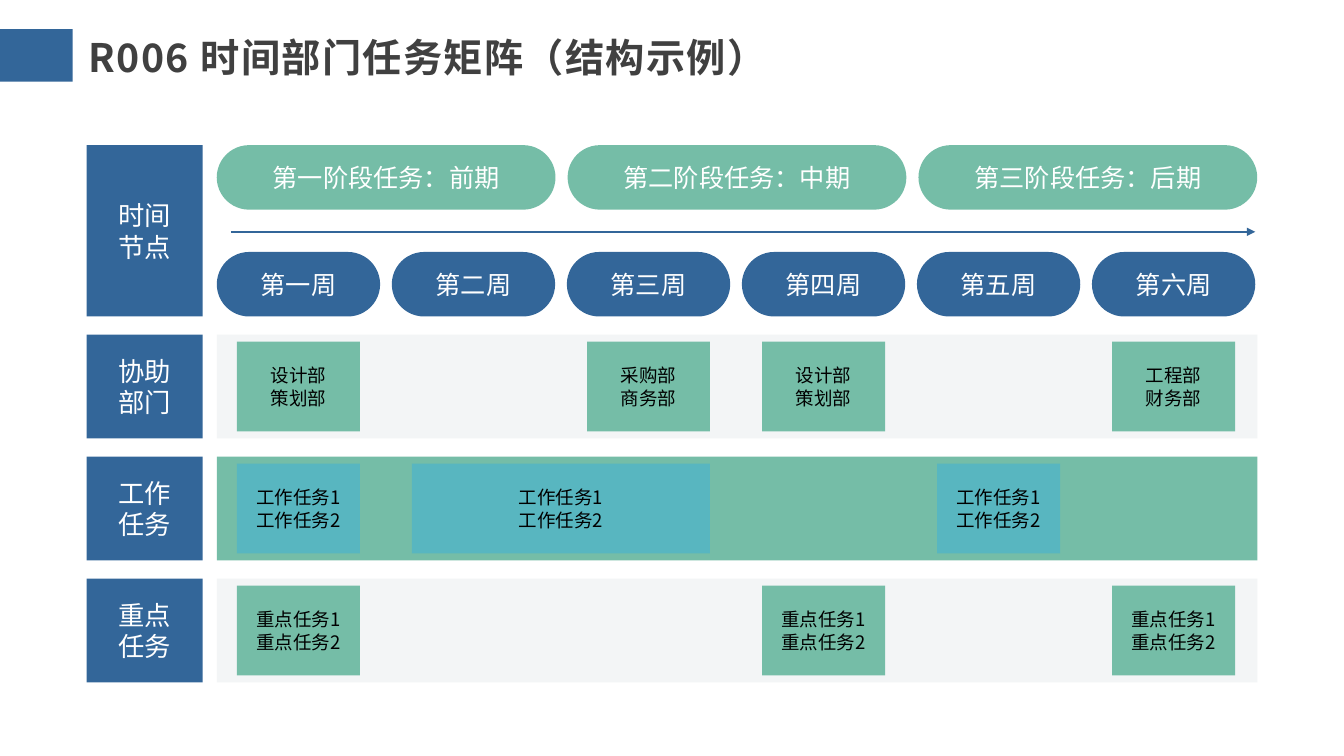
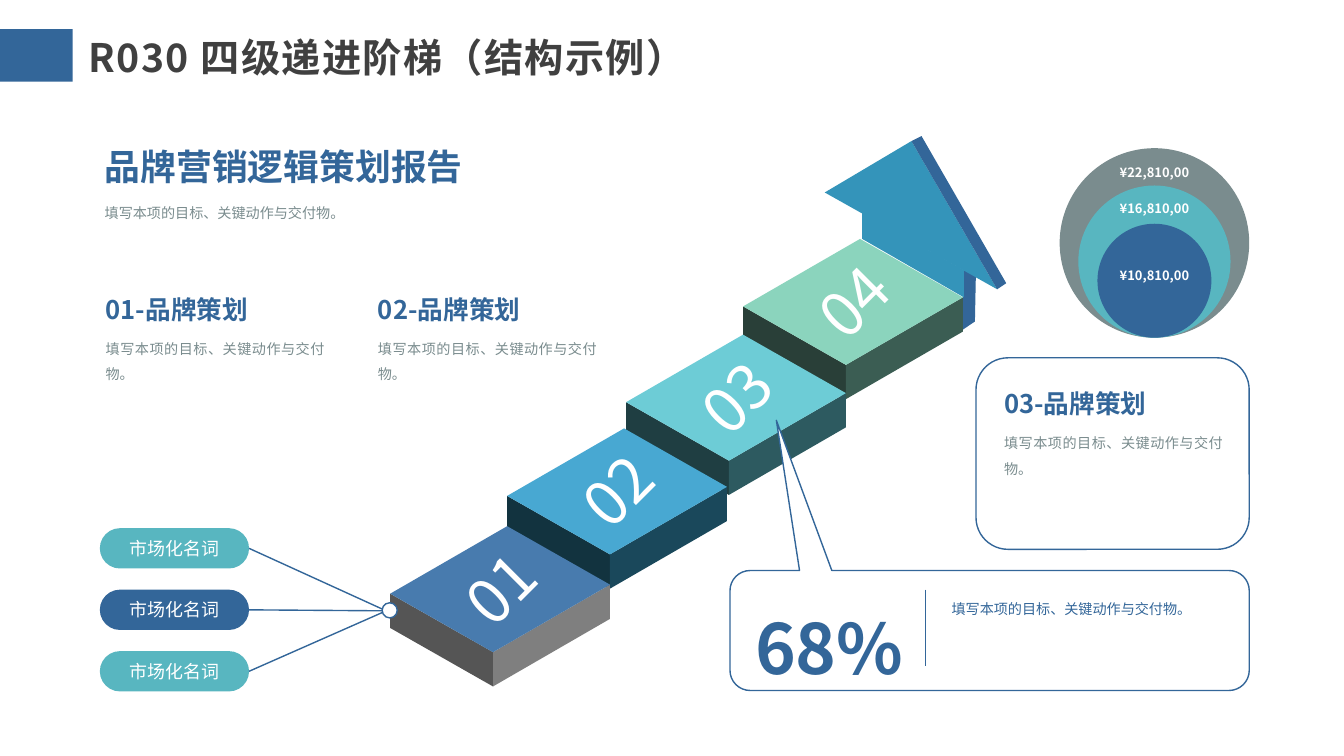
from math import cos, radians, sin

from lxml import etree
from pptx import Presentation
from pptx.dml.color import RGBColor
from pptx.enum import shapes as sh, text as tx
from pptx.oxml.ns import qn
from pptx.util import Inches, Pt

FONT = "Noto Sans CJK SC"
BLUE, GREEN, TEAL, SKY = "336699", "75BDA7", "58B6C0", "3494BA"
GRAY, PALE, DARK, WHITE, BLACK = "7A8C8E", "F3F5F6", "404040", "FFFFFF", "000000"
RECT, ROUND, OVAL = (sh.MSO_SHAPE.RECTANGLE, sh.MSO_SHAPE.ROUNDED_RECTANGLE,
                     sh.MSO_SHAPE.OVAL)
LEFT, MID, JUST = tx.PP_ALIGN.LEFT, tx.PP_ALIGN.CENTER, tx.PP_ALIGN.JUSTIFY
NOTE = "填写本项的目标、关键动作与交付物。"


def rgb(code):
    return RGBColor.from_string(code)


def write(shape, words, size, color=WHITE, bold=False, align=LEFT,
          gap=None, pad=(0.1, 0.05), wrap=True, mid=False, track=None):
    """Fill a shape with text, one paragraph per line of words."""
    frame = shape.text_frame
    frame.word_wrap = wrap
    frame.auto_size = tx.MSO_AUTO_SIZE.NONE
    frame.vertical_anchor = tx.MSO_ANCHOR.MIDDLE if mid else tx.MSO_ANCHOR.TOP
    frame.margin_left = frame.margin_right = Inches(pad[0])
    frame.margin_top = frame.margin_bottom = Inches(pad[1])
    for i, line in enumerate(words.split("\n")):
        para = frame.add_paragraph() if i else frame.paragraphs[0]
        para.alignment = align
        if gap:
            para.line_spacing = gap
        run = para.add_run()
        run.text = line
        font = run.font
        font.name, font.size, font.bold = FONT, Pt(size), bold
        font.color.rgb = rgb(color)
        props = run._r.get_or_add_rPr()
        east = etree.Element(qn("a:ea"), typeface=FONT)
        props.find(qn("a:latin")).addnext(east)
        if track:
            props.set("spc", str(track * 100))


class Deck:
    def __init__(self):
        self.prs = Presentation()
        self.prs.slide_width, self.prs.slide_height = Inches(13.33), Inches(7.5)
        self.slide = None

    def start(self, title):
        """Add a slide with the shared band and title."""
        self.slide = self.prs.slides.add_slide(self.prs.slide_layouts[5])
        self.shape(RECT, 0, 0.29, 0.72, 0.52, BLUE)
        head = self.slide.shapes.title
        head.left, head.top = Inches(0.78), Inches(0.28)
        head.width, head.height = Inches(10.28), Inches(0.57)
        write(head, title, 28, color=DARK, bold=True, mid=True, track=1)

    def paint(self, shape, fill, line=None):
        shape.shadow.inherit = False
        shape.fill.solid()
        shape.fill.fore_color.rgb = rgb(fill)
        if line:
            shape.line.color.rgb = rgb(line)
            shape.line.width = Pt(1)
        else:
            shape.line.fill.background()
        return shape

    def shape(self, kind, x, y, w, h, fill, line=None):
        box = self.slide.shapes.add_shape(kind, *map(Inches, (x, y, w, h)))
        return self.paint(box, fill, line)

    def block(self, x, y, w, h, fill, words, size, color=WHITE):
        write(self.shape(RECT, x, y, w, h, fill), words, size, color=color,
              align=MID, pad=(0.03, 0.03), mid=True)

    def pill(self, x, y, w, h, fill, words, size):
        box = self.shape(ROUND, x, y, w, h, fill)
        box.adjustments[0] = 0.5
        write(box, words, size, align=MID, pad=(0.03, 0.03), mid=True)

    def label(self, x, y, w, h, words, size, **style):
        box = self.slide.shapes.add_textbox(*map(Inches, (x, y, w, h)))
        write(box, words, size, **style)
        return box

    def poly(self, points, fill, line=None):
        dots = [(Inches(x), Inches(y)) for x, y in points]
        form = self.slide.shapes.build_freeform(*dots[0], scale=1.0)
        form.add_line_segments(dots[1:], close=True)
        return self.paint(form.convert_to_shape(), fill, line)

    def line(self, x1, y1, x2, y2, arrow=False):
        line = self.slide.shapes.add_connector(
            sh.MSO_CONNECTOR.STRAIGHT, *map(Inches, (x1, y1, x2, y2)))
        line.line.color.rgb = rgb(BLUE)
        line.line.width = Pt(1)
        props = line._element.spPr
        if arrow:
            etree.SubElement(props.find(qn("a:ln")), qn("a:tailEnd"), type="triangle")
        etree.SubElement(props, qn("a:effectLst"))

    def step(self, x, y, words, top, left, right):
        """Draw an isometric slab whose leftmost top corner is x, y."""
        west, north, east, south = [
            (x + dx, y + dy)
            for dx, dy in ((0, 0), (1.16, -0.67), (2.18, -0.09), (1.02, 0.58))]

        def drop(dot):
            return dot[0], dot[1] + 0.34

        self.poly([west, south, drop(south), drop(west)], left)
        self.poly([south, east, drop(east), drop(south)], right)
        self.poly([west, north, east, south], top)
        box = self.label(x + 0.27, y - 0.77, 1.65, 1.43, words, 43.9,
                         align=MID, pad=(0, 0.05), mid=True)
        box.rotation = 315

    def topic(self, x, y, words):
        """Place a numbered heading with its note below."""
        self.label(x, y, 2.37, 0.5, words, 18.3, color=BLUE, bold=True,
                   align=JUST, gap=1.5)
        self.label(x, y + 0.53, 2.37, 1.08, NOTE, 10.1, color=GRAY,
                   align=JUST, gap=1.5)


def arc(x, y, r, start):
    """Points of a clockwise quarter circle around x, y."""
    turns = [radians(start + 90 * i / 8) for i in range(9)]
    return [(x + r * cos(t), y + r * sin(t)) for t in turns]


def matrix(deck):
    deck.start("R006 时间部门任务矩阵（结构示例）")
    x, top, row, pitch = 2.15, 3.32, 1.21, (10.83 - 2.15) / 5
    deck.block(0.86, 1.44, 1.15, 1.7, BLUE, "时间\n节点", 18.8)
    for i, name in enumerate(["前期", "中期", "后期"]):
        deck.pill(x + 3.48 * i, 1.44, 3.36, 0.64, GREEN,
                  f"第{'一二三'[i]}阶段任务：{name}", 18)
    for i, num in enumerate("一二三四五六"):
        deck.pill(x + pitch * i, 2.5, 1.62, 0.64, BLUE, f"第{num}周", 18)
    deck.line(2.29, 2.3, 12.45, 2.3, arrow=True)

    work, key = "工作任务1\n工作任务2", "重点任务1\n重点任务2"
    plan = "设计部\n策划部"
    # Each card: first week, number of weeks, text
    rows = [
        ("协助\n部门", PALE, GREEN, [(0, 1, plan), (2, 1, "采购部\n商务部"),
                                 (3, 1, plan), (5, 1, "工程部\n财务部")]),
        ("工作\n任务", GREEN, TEAL, [(0, 1, work), (1, 2, work), (4, 1, work)]),
        ("重点\n任务", PALE, GREEN, [(0, 1, key), (3, 1, key), (5, 1, key)]),
    ]
    for i, (name, band, fill, cards) in enumerate(rows):
        y = top + row * i
        deck.block(0.86, y, 1.15, 1.03, BLUE, name, 18.8)
        deck.shape(RECT, x, y, 10.32, 1.03, band)
        for week, span, words in cards:
            deck.block(x + 0.2 + pitch * week, y + 0.07,
                       1.22 + pitch * (span - 1), 0.89, fill, words, 13.2, BLACK)


def stairs(deck):
    deck.start("R030 四级递进阶梯（结构示例）")
    deck.label(0.94, 1.39, 3.78, 0.52, "品牌营销逻辑策划报告", 25.6,
               color=BLUE, bold=True, wrap=False)
    deck.label(0.94, 1.89, 6.97, 0.57, NOTE, 10.1, color=GRAY, gap=1.5)

    deck.poly([(9.55, 2.69), (9.68, 2.69), (9.67, 3.19), (9.55, 3.27)], BLUE)
    for x, y, *look in [
        (7.37, 3.04, "04", "8BD4BD", "293F38", "3B5D53"),
        (6.21, 3.99, "03", "6DCCD6", "1F3E42", "2D5A60"),
        (5.03, 4.92, "02", "48A8D2", "12333F", "1A485B"),
        (3.87, 5.89, "01", "487BAE", "555555", "7F7F7F"),
    ]:
        deck.step(x, y, *look)
    deck.poly([(8.55, 2.11), (9.56, 2.68), (9.56, 2.95), (8.55, 2.37)], SKY)
    deck.poly([(8.18, 1.91), (9.04, 1.4), (9.89, 2.87)], SKY)
    deck.poly([(9.04, 1.4), (9.14, 1.35), (9.98, 2.81), (9.89, 2.87)], BLUE)

    deck.shape(ROUND, 9.68, 3.55, 2.71, 1.9, WHITE, BLUE)
    for x, y, words in [(0.95, 2.71, "01-品牌策划"), (3.65, 2.71, "02-品牌策划"),
                        (9.86, 3.65, "03-品牌策划")]:
        deck.topic(x, y, words)

    tail = [(7.93, 5.66), (7.7, 4.17), (8.25, 5.66)]
    deck.poly(tail + arc(12.19, 5.86, 0.2, 270) + arc(12.19, 6.65, 0.2, 0)
              + arc(7.44, 6.65, 0.2, 90) + arc(7.44, 5.86, 0.2, 180), WHITE, BLUE)
    deck.label(7.39, 5.54, 1.89, 1.21, "68%", 49.4, color=BLUE, bold=True,
               align=JUST, gap=1.5)
    deck.label(9.34, 5.82, 2.84, 0.82, NOTE, 10.1, color=BLUE, align=JUST, gap=1.5)
    deck.line(9.18, 5.85, 9.18, 6.61)

    for i, fill in enumerate([TEAL, BLUE, TEAL]):
        y = 5.24 + 0.61 * i
        deck.pill(0.99, y, 1.48, 0.4, fill, "市场化名词", 12.8)
        deck.line(2.47, y + 0.2, 3.83, 6.06)
    deck.shape(OVAL, 3.79, 5.98, 0.15, 0.15, WHITE, BLUE)

    for size, fill, y, words in [(1.88, GRAY, 1.58, "¥22,810,00"),
                                 (1.51, TEAL, 1.94, "¥16,810,00"),
                                 (1.13, BLUE, 2.61, "¥10,810,00")]:
        deck.shape(OVAL, 11.45 - size / 2, 3.35 - size, size, size, fill)
        deck.label(10.95, y, 1, 0.25, words, 9.2, bold=True, align=MID)


def main():
    deck = Deck()
    matrix(deck)
    stairs(deck)
    deck.prs.save("out.pptx")


if __name__ == "__main__":
    main()
